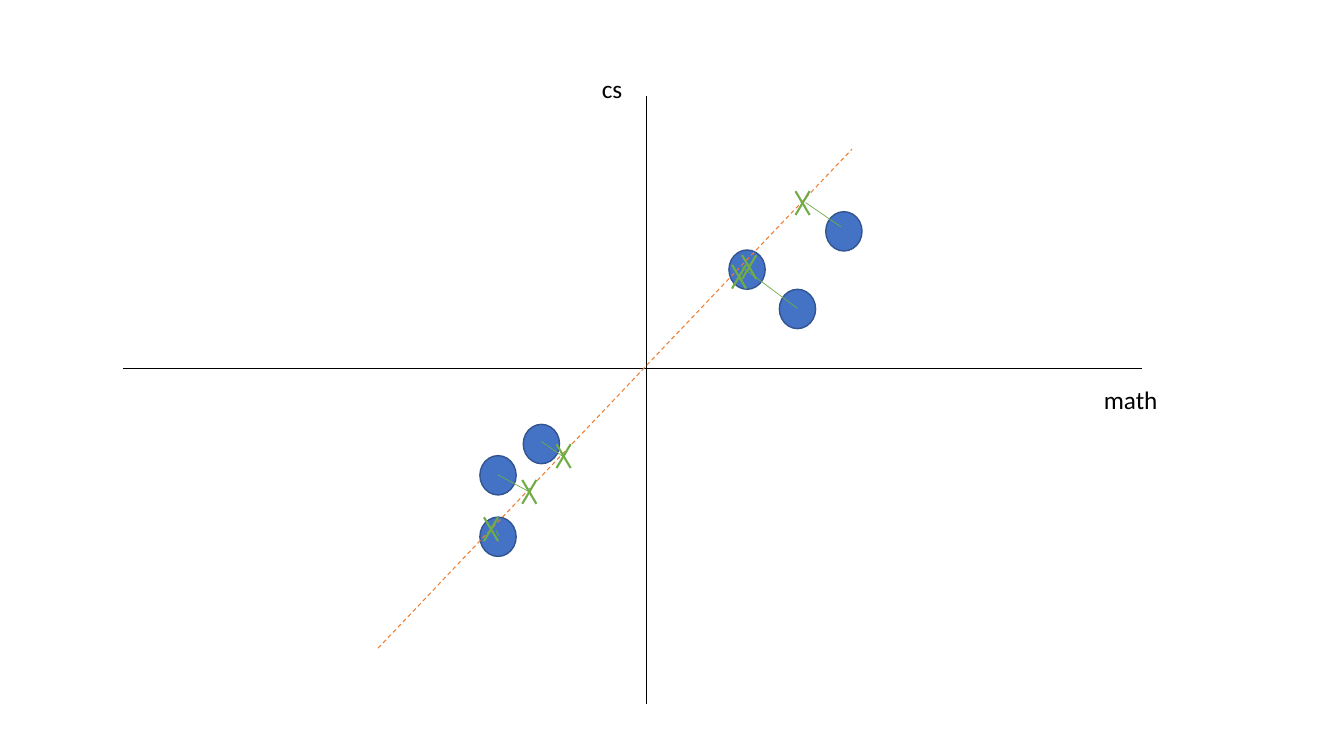
from lxml.etree import SubElement
from pptx import Presentation
from pptx.dml.color import RGBColor
from pptx.enum.dml import MSO_LINE
from pptx.enum.shapes import MSO_CONNECTOR, MSO_SHAPE
from pptx.enum.text import MSO_AUTO_SIZE
from pptx.oxml.ns import qn
from pptx.util import Inches, Pt

BLACK = RGBColor(0x00, 0x00, 0x00)
BLUE = RGBColor(0x44, 0x72, 0xC4)
DARK_BLUE = RGBColor(0x32, 0x54, 0x91)
ORANGE = RGBColor(0xED, 0x7D, 0x31)
GREEN = RGBColor(0x70, 0xAD, 0x47)

CELL = Inches(0.1)

AXES = [((12.2, 36.5), (113.3, 36.5)), ((64.1, 9.5), (64.1, 69.8))]
TREND = ((37.5, 64.3), (84.5, 14.8))
LABELS = [("cs", 58.7, 6.8, 4.1), ("math", 108.5, 37.6, 7.4)]
POINTS = [
    (83.7, 22.95), (74.1, 26.75), (79.1, 30.65),
    (53.7, 44.05), (49.4, 47.15), (49.4, 53.25),
]
PROJECTIONS = [
    ((79.1, 30.6), (73.6, 26.5)),
    ((83.4, 22.5), (79.9, 20.1)),
    ((52.5, 48.8), (49.4, 47.1)),
    ((56, 45.4), (53.7, 43.8)),
    ((49.2, 52.6), (49.5, 53.2)),
]
CROSSES = [
    (48.7, 52.5), (52.5, 48.8), (55.9, 45.25),
    (73.3, 27.45), (74.3, 26.5), (79.6, 20.15),
]


def apply_format(target, values):
    for name, value in values.items():
        setattr(target, name, value)


class ScatterSlide:
    point_size = (3.6, 3.9)
    cross_reach = (0.7, 1.18)
    label_height = 4
    label_font = {"name": "Calibri", "size": Pt(18)}
    label_frame = {"word_wrap": False, "auto_size": MSO_AUTO_SIZE.SHAPE_TO_FIT_TEXT}

    def __init__(self, presentation):
        self.slide = presentation.slides.add_slide(presentation.slide_layouts[6])
        self.shapes = self.slide.shapes

    def grid(self, *cells):
        return [round(cell * CELL) for cell in cells]

    def point(self, column, row):
        width, height = self.point_size
        box = self.grid(column - width / 2, row - height / 2, width, height)
        shape = self.shapes.add_shape(MSO_SHAPE.OVAL, *box)
        shape.shadow.inherit = False
        shape.fill.solid()
        shape.fill.fore_color.rgb = BLUE
        shape.line.color.rgb = DARK_BLUE
        shape.line.width = Pt(1)

    def label(self, text, column, row, width):
        box = self.grid(column, row, width, self.label_height)
        frame = self.shapes.add_textbox(*box).text_frame
        apply_format(frame, self.label_frame)
        paragraph = frame.paragraphs[0]
        paragraph.text = text
        apply_format(paragraph.font, self.label_font)
        paragraph.font.color.rgb = BLACK

    def line(self, start, end, color, shapes=None, **values):
        shapes = shapes or self.shapes
        ends = self.grid(*start, *end)
        connector = shapes.add_connector(MSO_CONNECTOR.STRAIGHT, *ends)
        connector.line.color.rgb = color
        apply_format(connector.line, values)
        SubElement(connector._element.spPr, qn("a:effectLst"))

    def cross(self, column, row):
        group = self.shapes.add_group_shape()
        across, down = self.cross_reach
        for rise in (down, -down):
            start = (column - across, row - rise)
            end = (column + across, row + rise)
            self.line(start, end, GREEN, group.shapes, width=Pt(1.5))


def main():
    presentation = Presentation()
    presentation.slide_width = Inches(13.33)
    presentation.slide_height = Inches(7.5)
    scatter = ScatterSlide(presentation)

    for point in POINTS:
        scatter.point(*point)
    for label in LABELS:
        scatter.label(*label)
    for axis in AXES:
        scatter.line(*axis, BLACK, width=Pt(0.5))
    scatter.line(*TREND, ORANGE, width=Pt(0.75), dash_style=MSO_LINE.DASH)
    for projection in PROJECTIONS:
        scatter.line(*projection, GREEN, width=Pt(0.5))
    for cross in CROSSES:
        scatter.cross(*cross)

    presentation.save("out.pptx")


if __name__ == "__main__":
    main()
